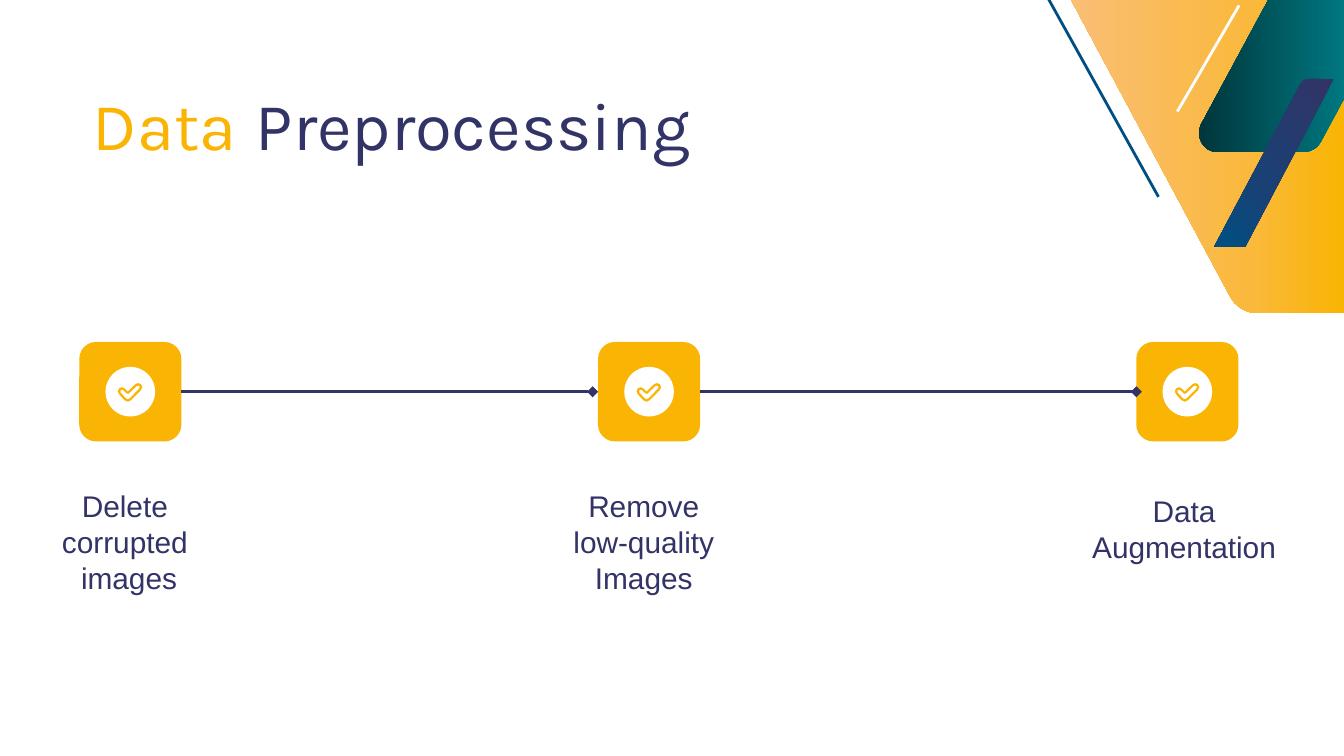
from copy import deepcopy

from lxml import etree
from pptx import Presentation
from pptx import util as u
from pptx.dml.color import RGBColor
from pptx.enum import shapes, text
from pptx.oxml import ns

PX = 914.4  # EMU per px: 1000 px to the inch
GOLD = RGBColor(0xFA, 0xB4, 0x03)
AMBER = RGBColor(0xFA, 0xB9, 0x3C)
PEACH = RGBColor(0xFA, 0xBE, 0x75)
TEAL = RGBColor(0x00, 0x92, 0x9B)
PINE = RGBColor(0x00, 0x37, 0x3D)
NAVY = RGBColor(0x32, 0x33, 0x66)
INDIGO = RGBColor(0x19, 0x41, 0x75)
BLUE = RGBColor(0x00, 0x4F, 0x83)
WHITE = RGBColor(0xFF, 0xFF, 0xFF)

FRAME = dict(word_wrap=True, auto_size=text.MSO_AUTO_SIZE.NONE,
             **{f"margin_{side}": u.Inches(0.1)
                for side in ("left", "top", "right", "bottom")})
TILE_W, TILE_H, DISC = 760, 740, 370
LABEL_W, LABEL_H = 1920, 1280

# Outlines relative to their box: pairs are points, sextets are cubic curves
RING = [(185, 0), (83, 0, 0, 83, 0, 185), (0, 287, 83, 370, 185, 370),
        (287, 370, 370, 287, 370, 185), (370, 83, 287, 0, 185, 0)]
TICK_RIM = [(244, 120), (252, 120, 260, 123, 266, 129),
            (279, 141, 279, 160, 266, 173), (192, 248),
            (185, 255, 177, 259, 168, 260), (166, 260),
            (156, 260, 147, 256, 140, 249), (100, 204),
            (87, 191, 88, 172, 100, 160), (112, 148, 131, 148, 143, 160),
            (166, 182), (221, 129), (227, 123, 235, 120, 244, 120)]
TICK = [(244, 140), (239, 140, 235, 141, 232, 144), (175, 199),
        (170, 204, 162, 204, 157, 199), (130, 173),
        (125, 168, 118, 168, 113, 173), (108, 178, 108, 185, 113, 191),
        (155, 236), (158, 238, 162, 240, 166, 240), (168, 240),
        (172, 239, 176, 237, 179, 234), (252, 160),
        (260, 152, 254, 140, 244, 140)]


def put(obj, **fmt):
    for key, val in fmt.items():
        setattr(obj, key, val)


def emu(*nums):
    return [round(n * PX) for n in nums]


def bend(node, step):
    """Turn a straight segment into the cubic curve of the step."""
    end = node[0]
    dx, dy = int(end.get("x")) - step[4], int(end.get("y")) - step[5]
    node.tag = ns.qn("a:cubicBezTo")
    for i in (0, 2):
        ctrl = etree.Element(ns.qn("a:pt"), x=str(step[i] + dx), y=str(step[i + 1] + dy))
        end.addprevious(ctrl)


def draw(slide, left, top, *paths):
    """Add one unlined freeform; a path inside another cuts a hole."""
    form = None
    for path in paths:
        pts = [(left + step[-2], top + step[-1]) for step in path]
        if form is None:
            form = slide.shapes.build_freeform(*pts[0], scale=PX)
        else:
            form.move_to(*pts[0])
        form.add_line_segments(pts[1:], close=True)
    shape = form.convert_to_shape()
    nodes = [pt.getparent() for pt in shape._element.spPr.iter(ns.qn("a:pt"))]
    for node, step in zip(nodes, sum(paths, [])):
        if len(step) == 6:
            bend(node, step)
    shape.shadow.inherit = False
    shape.line.fill.background()
    return shape


def paint(shape, color):
    shape.fill.solid()
    shape.fill.fore_color.rgb = color


def blend(shape, angle, *stops):
    fill = shape.fill
    fill.gradient()
    fill.gradient_angle = angle
    holder = shape._element.spPr.find(".//" + ns.qn("a:gsLst"))
    for _ in stops[2:]:
        holder.append(deepcopy(holder[0]))
    for stop, (pos, color) in zip(fill.gradient_stops, stops):
        stop.position = pos
        stop.color.rgb = color


def rule(slide, start, end, color, head=None):
    line = slide.shapes.add_connector(shapes.MSO_CONNECTOR.STRAIGHT,
                                      *emu(*start, *end))
    line.line.color.rgb = color
    line.line.width = u.Pt(1.5)
    if head:
        etree.SubElement(line.line._get_or_add_ln(), ns.qn("a:headEnd"), type=head)
    etree.SubElement(line._element.spPr, ns.qn("a:effectLst"))


def decor(slide, left, top):
    """Place the slanted corner art from its top left point."""
    slab = draw(slide, left, top, [
        (0, 0), (1190, 2220), (1230, 2300, 1310, 2350, 1400, 2350),
        (2040, 2350), (2040, 0)])
    blend(slab, 180, (0, GOLD), (0.34, AMBER), (1, PEACH))
    block = draw(slide, left + 935, top - 50, [
        (580, 0), (40, 1000), (0, 1090, 60, 1200, 160, 1200), (810, 1200),
        (860, 1200, 910, 1170, 930, 1130), (1540, 0)])
    blend(block, 180, (0, TEAL), (1, PINE))
    bar = draw(slide, left + 1075, top + 605, [
        (640, 40), (0, 1250), (230, 1250), (890, 0), (710, 0),
        (680, 0, 660, 10, 640, 40)])
    blend(bar, 225, (0, NAVY), (0.63, INDIGO), (1, BLUE))
    rule(slide, (left + 800, top + 850), (left + 1260, top + 60), WHITE)
    rule(slide, (left + 660, top + 1485), (left - 160, top + 10), BLUE)


def write(par, words, size, color, font):
    run = par.add_run()
    run.text = words
    put(run.font, size=u.Pt(size), name=font, bold=False)
    run.font.color.rgb = color


def head(slide, left, top, width, height):
    title = slide.shapes.title
    put(title, **dict(zip(("left", "top", "width", "height"),
                          emu(left, top, width, height))))
    put(title.text_frame, vertical_anchor=text.MSO_ANCHOR.TOP, **FRAME)
    par = title.text_frame.paragraphs[0]
    put(par, alignment=text.PP_ALIGN.LEFT, line_spacing=1.0)
    for words, size, color in (("Data", 36, GOLD), (" ", 44, GOLD),
                               ("Preprocessing", 36, NAVY)):
        write(par, words, size, color, "Karla")


def badge(slide, left, top):
    tile = slide.shapes.add_shape(shapes.MSO_SHAPE.ROUNDED_RECTANGLE,
                                  *emu(left, top, TILE_W, TILE_H))
    tile.adjustments[0] = 0.17
    tile.shadow.inherit = False
    tile.line.fill.background()
    paint(tile, GOLD)
    spot = left + (TILE_W - DISC) // 2, top + (TILE_H - DISC) // 2
    paint(draw(slide, *spot, RING, TICK_RIM), WHITE)
    paint(draw(slide, *spot, TICK), WHITE)


def label(slide, left, top, lines):
    frame = slide.shapes.add_textbox(*emu(left, top, LABEL_W, LABEL_H)).text_frame
    put(frame, vertical_anchor=text.MSO_ANCHOR.MIDDLE, **FRAME)
    for i, words in enumerate(lines):
        par = frame.add_paragraph() if i else frame.paragraphs[0]
        put(par, alignment=text.PP_ALIGN.CENTER, line_spacing=1.0)
        write(par, words, 16, NAVY, "Arial")


def steps(slide, top):
    mid = top + TILE_H // 2
    for left, side, drop, lines in (
            (590, 0, 845, ("Delete ", "corrupted ", "images")),
            (4450, 3830, 845, ("Remove", "low-quality", "Images")),
            (8455, 7850, 745, ("Data", "Augmentation"))):
        badge(slide, left, top)
        label(slide, side, top + drop, lines)
    for end, start in ((4410, 1350), (8455, 5210)):
        rule(slide, (end, mid), (start, mid), NAVY, "diamond")


def main():
    deck = Presentation()
    deck.slide_width, deck.slide_height = emu(10000, 5625)
    slide = deck.slides.add_slide(deck.slide_layouts[5])
    decor(slide, 7960, -20)
    head(slide, 590, 410, 7380, 1830)
    steps(slide, 2545)
    deck.save("out.pptx")


if __name__ == "__main__":
    main()
